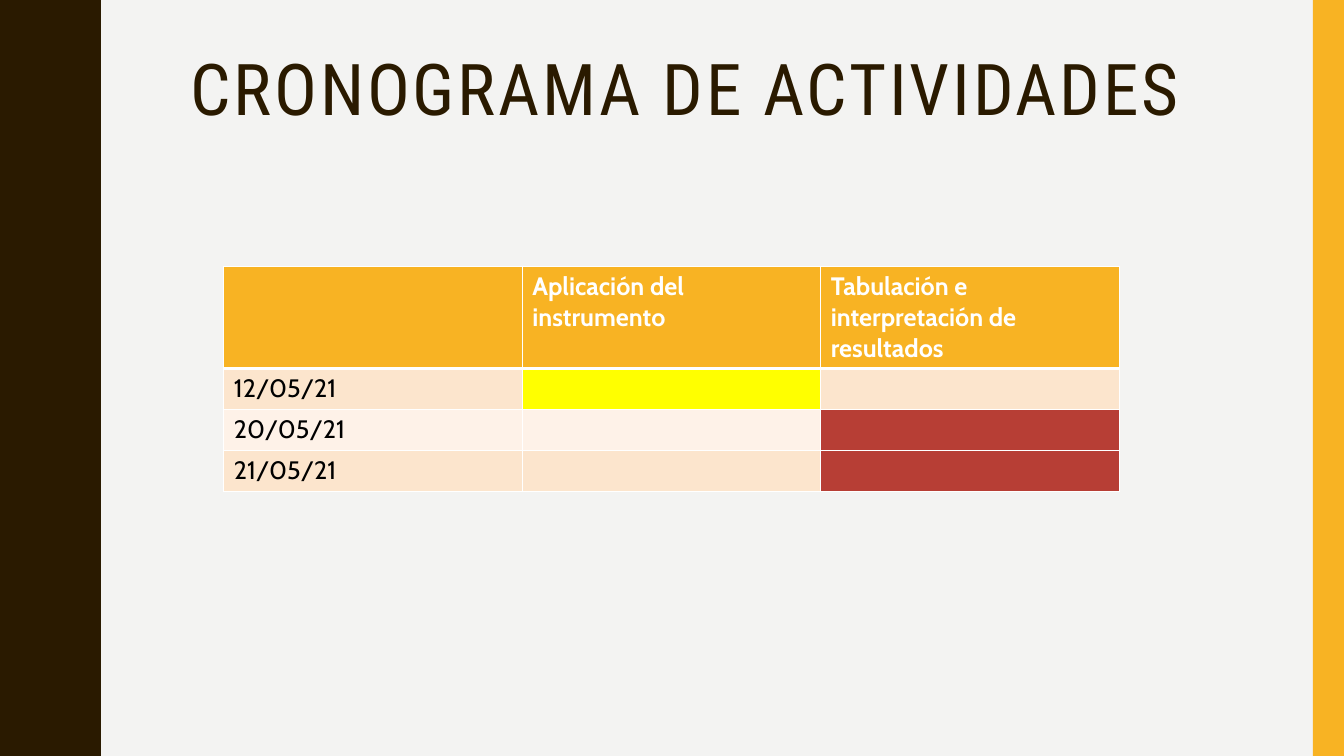
from lxml.etree import SubElement
from pptx import Presentation
from pptx.dml.color import RGBColor
from pptx.enum.shapes import MSO_SHAPE
from pptx.enum.text import MSO_ANCHOR, MSO_AUTO_SIZE, PP_ALIGN
from pptx.oxml.ns import qn
from pptx.util import Inches, Pt

WIDTH, HEIGHT = 13.33, 7.5
BROWN, AMBER, PAPER = "2A1A00", "F8B323", "F3F3F2"
WHITE, BLACK, YELLOW, RED = "FFFFFF", "000000", "FFFF00", "B73E35"
BANDS = ["FCE5CD", "FEF2E8"]

TITLE = "CRONOGRAMA DE ACTIVIDADES"
HEADERS = ["", "Aplicación del instrumento", "Tabulación e interpretación de resultados"]
# Each date with the column and colour of its scheduled activity
SCHEDULE = [("12/05/21", 1, YELLOW), ("20/05/21", 2, RED), ("21/05/21", 2, RED)]

TABLE_LEFT, TABLE_TOP = 2.22, 2.64
COLUMN_WIDTH, HEADER_HEIGHT, ROW_HEIGHT = 2.96, 1.01, 0.4

WAVE_PERIOD = 1.5
# Half a wave, from trough to crest: (x, y)
HALF_WAVE = [(0.78, 0), (0.78, 0.07), (0.79, 0.14), (0.8, 0.2), (0.81, 0.25),
             (0.83, 0.29), (0.85, 0.33), (0.87, 0.38), (0.89, 0.42), (0.91, 0.46),
             (0.93, 0.5), (0.95, 0.55), (0.96, 0.61), (0.97, 0.68), (0.97, 0.75)]


def color(value):
    """Turn a hex string into a colour."""
    return RGBColor.from_string(value)


def paint(shape, fill):
    """Give a shape a plain fill with no line or shadow."""
    shape.fill.solid()
    shape.fill.fore_color.rgb = color(fill)
    shape.line.fill.background()
    shape.shadow.inherit = False


def add_text(paragraph, text, font, size, fill, bold=False):
    """Add one formatted run to a paragraph and return it."""
    run = paragraph.add_run()
    run.text = text
    run.font.name, run.font.size, run.font.bold = font, Pt(size), bold
    run.font.color.rgb = color(fill)
    return run


def add_wave(slide):
    """Draw the left band, repeating the wave down the slide."""
    wave = HALF_WAVE + [(x, WAVE_PERIOD - y) for x, y in HALF_WAVE[-2::-1]]
    edge = [(x, y + start * WAVE_PERIOD)
            for start in range(round(HEIGHT / WAVE_PERIOD)) for x, y in wave]
    builder = slide.shapes.build_freeform(0, 0, scale=Inches(1))
    builder.add_line_segments(edge + [(0, HEIGHT)], close=True)
    paint(builder.convert_to_shape(), BROWN)


def add_title(slide):
    """Place and format the title placeholder."""
    title = slide.shapes.title
    title.left, title.top = Inches(1.79), Inches(0.48)
    title.width, title.height = Inches(11.13), Inches(1.63)
    frame = title.text_frame
    frame.word_wrap, frame.auto_size = True, MSO_AUTO_SIZE.NONE
    frame.vertical_anchor = MSO_ANCHOR.TOP
    paragraph = frame.paragraphs[0]
    paragraph.alignment, paragraph.line_spacing = PP_ALIGN.LEFT, 0.9
    run = add_text(paragraph, TITLE, "Roboto Condensed", 51, BROWN)
    run.font._element.set("spc", "200")


def format_cell(cell, row, text, fill):
    """Set borders, fill and text of a cell."""
    widths = {"L": 1, "R": 1, "T": 3 if row == 1 else 1, "B": 3 if row == 0 else 1}
    properties = cell._tc.get_or_add_tcPr()
    for side, width in widths.items():
        line = SubElement(properties, qn(f"a:ln{side}"), w=str(Pt(width)))
        SubElement(SubElement(line, qn("a:solidFill")), qn("a:srgbClr"), val=WHITE)
    cell.fill.solid()
    cell.fill.fore_color.rgb = color(fill)
    if text:
        add_text(cell.text_frame.paragraphs[0], text, "Cabin", 18,
                 BLACK if row else WHITE, bold=row == 0)


def add_schedule(slide):
    """Build the table of dates and activities."""
    rows, columns = len(SCHEDULE) + 1, len(HEADERS)
    table = slide.shapes.add_table(
        rows, columns, Inches(TABLE_LEFT), Inches(TABLE_TOP),
        Inches(columns * COLUMN_WIDTH),
        Inches(HEADER_HEIGHT + len(SCHEDULE) * ROW_HEIGHT)).table
    for column in table.columns:
        column.width = Inches(COLUMN_WIDTH)
    for index, row in enumerate(table.rows):
        row.height = Inches(ROW_HEIGHT if index else HEADER_HEIGHT)
    for column, header in enumerate(HEADERS):
        format_cell(table.cell(0, column), 0, header, AMBER)
    for row, (date, active, mark) in enumerate(SCHEDULE, start=1):
        band = BANDS[(row - 1) % len(BANDS)]
        for column in range(columns):
            format_cell(table.cell(row, column), row, "" if column else date,
                        mark if column == active else band)


presentation = Presentation()
presentation.slide_width, presentation.slide_height = Inches(WIDTH), Inches(HEIGHT)
slide = presentation.slides.add_slide(presentation.slide_layouts[5])
slide.background.fill.solid()
slide.background.fill.fore_color.rgb = color(PAPER)
add_wave(slide)
side_bar = slide.shapes.add_shape(MSO_SHAPE.RECTANGLE, Inches(13.02), 0,
                                  Inches(WIDTH - 13.02), Inches(HEIGHT))
paint(side_bar, AMBER)
add_title(slide)
add_schedule(slide)
presentation.save("out.pptx")
